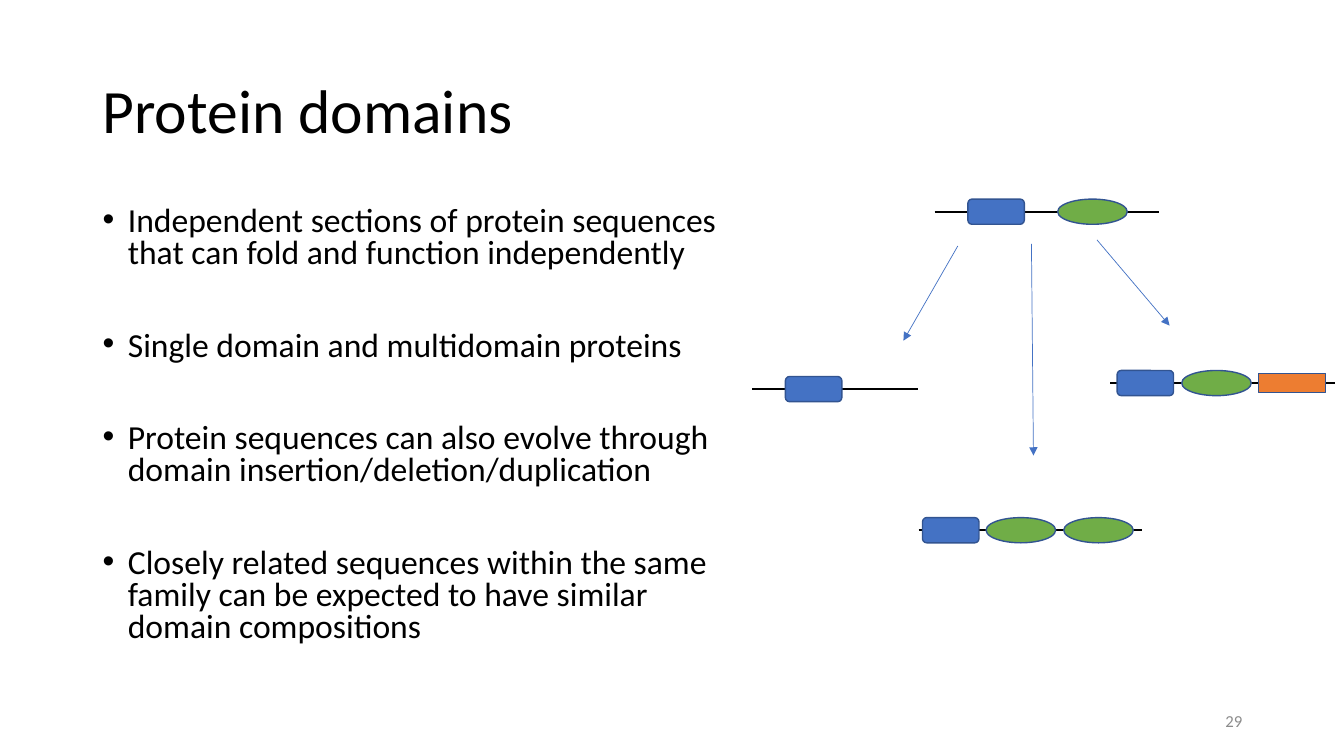
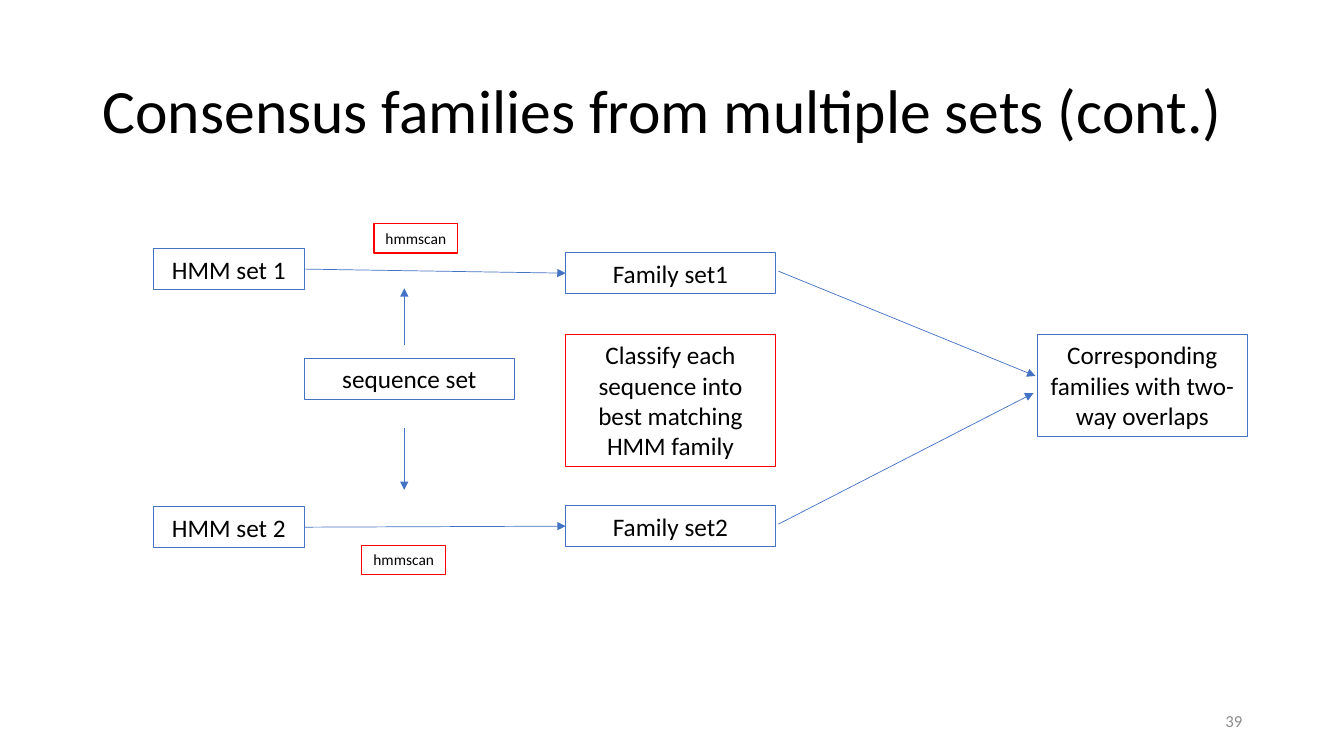
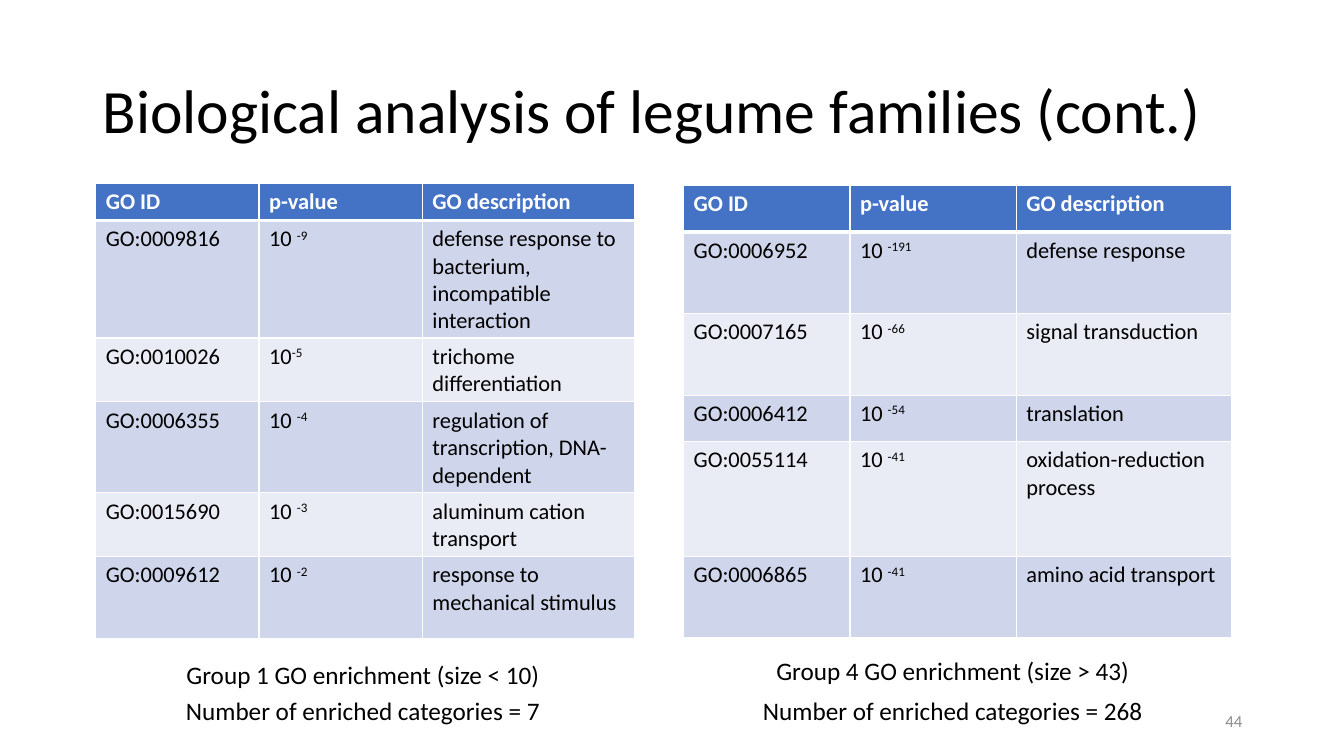
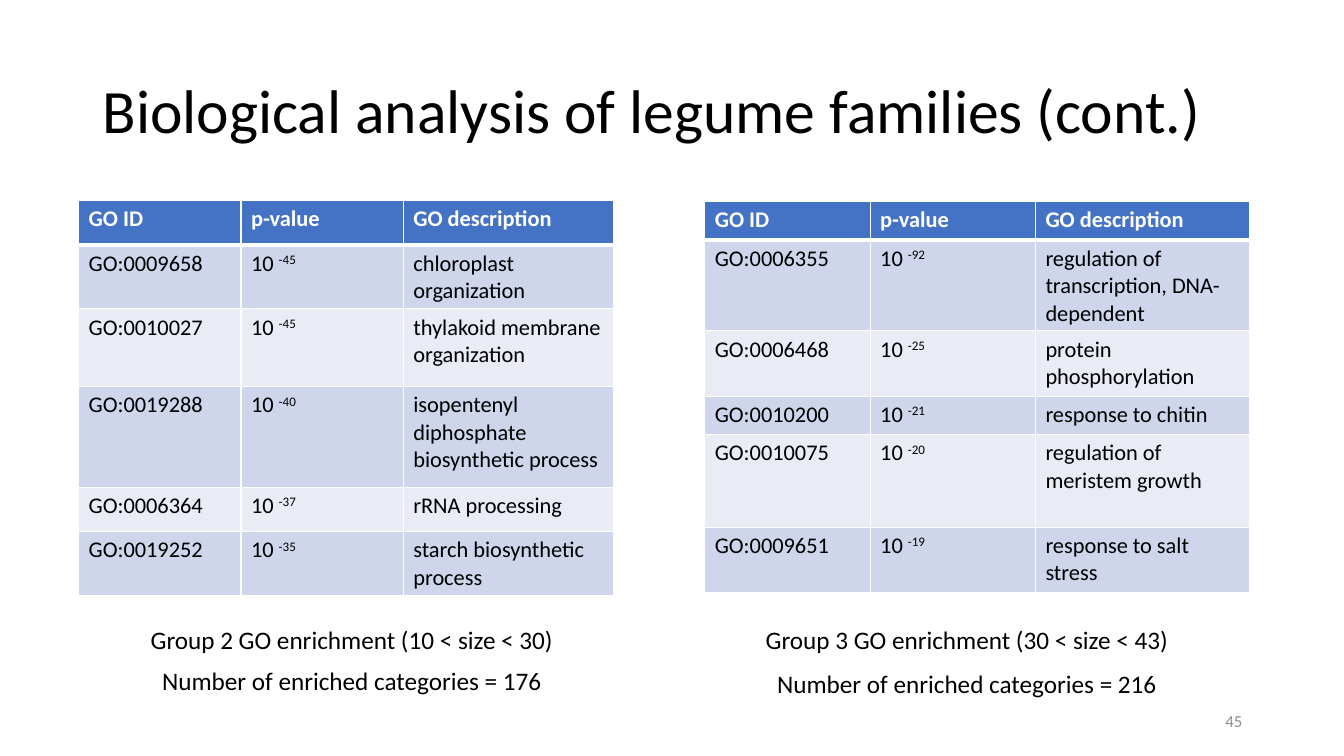
from lxml import etree
from pptx import Presentation
from pptx.dml.color import RGBColor
from pptx.enum.shapes import MSO_CONNECTOR, MSO_SHAPE
from pptx.enum.text import MSO_ANCHOR, PP_ALIGN
from pptx.oxml import parse_xml
from pptx.oxml.ns import nsdecls, qn
from pptx.util import Inches, Pt

# Shared style
FONT = "Calibri"
BLACK, WHITE, GREY = "000000", "FFFFFF", "8C8C8C"
BLUE, GREEN, ORANGE, RED = "4472C4", "70AD47", "ED7D31", "FF0000"
OUTLINE = "325491"
BANDS = ["CFD5EA", "E9EBF5"]
rgb = RGBColor.from_string


def write(shape, text, size, color=BLACK, align=PP_ALIGN.LEFT, anchor=MSO_ANCHOR.TOP):
    frame = shape.text_frame
    frame.word_wrap = True
    frame.vertical_anchor = anchor
    frame.text = text
    for paragraph in frame.paragraphs:
        paragraph.alignment = align
        paragraph.font.name = FONT
        paragraph.font.size = Pt(size)
        paragraph.font.color.rgb = rgb(color)
    return frame


def draw_line(slide, start, end, color=BLUE, width=0.5, arrow=True):
    line = slide.shapes.add_connector(
        MSO_CONNECTOR.STRAIGHT, *[Inches(v) for v in (*start, *end)])
    line.line.color.rgb = rgb(color)
    line.line.width = Pt(width)
    properties = line.line._get_or_add_ln()
    if arrow:
        etree.SubElement(properties, qn("a:tailEnd"), type="triangle")
    properties.addnext(parse_xml(f"<a:effectLst {nsdecls('a')}/>"))
    return line


prs = Presentation()
prs.slide_width, prs.slide_height = Inches(13.33), Inches(7.5)

# Titles and page numbers
slides = []
for title, number in [
    ("Protein domains", 29),
    ("Consensus families from multiple sets (cont.)", 39),
    ("Biological analysis of legume families (cont.)", 44),
    ("Biological analysis of legume families (cont.)", 45),
]:
    slide = prs.slides.add_slide(prs.slide_layouts[6])
    heading = slide.shapes.add_textbox(Inches(0.92), Inches(0.4), Inches(11.5), Inches(1.45))
    write(heading, title, 44, anchor=MSO_ANCHOR.MIDDLE).paragraphs[0].line_spacing = 0.9
    page = slide.shapes.add_textbox(Inches(9.42), Inches(6.95), Inches(3), Inches(0.4))
    write(page, str(number), 12, GREY, PP_ALIGN.RIGHT, MSO_ANCHOR.MIDDLE)
    slides.append(slide)
domains_slide, consensus_slide, *enrichment_slides = slides

# Protein domains: bullets
points = [
    "Independent sections of protein sequences that can fold and function independently",
    "Single domain and multidomain proteins",
    "Protein sequences can also evolve through domain insertion/deletion/duplication",
    "Closely related sequences within the same family can be expected to have similar "
    "domain compositions",
]
body = domains_slide.shapes.add_textbox(Inches(0.92), Inches(2), Inches(6.6), Inches(4.76))
body.text_frame.text = "\n".join(points)
for paragraph in body.text_frame.paragraphs:
    indent = paragraph._p.get_or_add_pPr()
    indent.set("marL", str(Inches(0.25)))
    indent.set("indent", str(-Inches(0.25)))
    etree.SubElement(indent, qn("a:buFont"), typeface="Arial")
    etree.SubElement(indent, qn("a:buChar"), char="•")
    paragraph.line_spacing = 0.8
    paragraph.font.name = FONT
    paragraph.font.size = Pt(24)
    paragraph.font.color.rgb = rgb(BLACK)
for paragraph in body.text_frame.paragraphs[1:]:
    paragraph.space_before = Pt(43)
body.text_frame.word_wrap = True

# Protein domains: proteins as a backbone with domains centred on it
domain_kinds = {
    "blue": (MSO_SHAPE.ROUNDED_RECTANGLE, 0.56, 0.25, BLUE),
    "green": (MSO_SHAPE.OVAL, 0.69, 0.25, GREEN),
    "orange": (MSO_SHAPE.RECTANGLE, 0.67, 0.19, ORANGE),
}
for start, end, y, domains in [
    (9.27, 11.5, 2.1, [("blue", 9.6), ("green", 10.49)]),
    (11.01, 13.24, 3.8, [("blue", 11.08), ("green", 11.72), ("orange", 12.48)]),
    (9.11, 11.33, 5.26, [("blue", 9.15), ("green", 9.78), ("green", 10.55)]),
    (7.46, 9.1, 3.86, [("blue", 7.79)]),
]:
    draw_line(domains_slide, (start, y), (end, y), BLACK, 1.5, arrow=False)
    for kind, left in domains:
        preset, width, height, color = domain_kinds[kind]
        domain = domains_slide.shapes.add_shape(
            preset, Inches(left), Inches(y - height / 2), Inches(width), Inches(height))
        domain.shadow.inherit = False
        domain.fill.solid()
        domain.fill.fore_color.rgb = rgb(color)
        domain.line.color.rgb = rgb(OUTLINE)
        domain.line.width = Pt(1)
for start, end in [
    ((9.5, 2.44), (8.96, 3.38)),
    ((10.23, 2.42), (10.25, 4.52)),
    ((10.88, 2.38), (11.6, 3.23)),
]:
    draw_line(domains_slide, start, end)

# Consensus families: boxes
steps = []
for text, left, top, width, height, color, size in [
    ("HMM set 1", 1.52, 2.47, 1.5, 0.4, BLUE, 18),
    ("Family set1", 5.61, 2.51, 2.08, 0.4, BLUE, 18),
    ("HMM set 2", 1.52, 5.03, 1.5, 0.4, BLUE, 18),
    ("Family set2", 5.61, 5.02, 2.08, 0.4, BLUE, 18),
    ("sequence set", 3.02, 3.56, 2.08, 0.4, BLUE, 18),
    ("hmmscan", 3.71, 2.22, 0.83, 0.29, RED, 11),
    ("hmmscan", 3.59, 5.41, 0.83, 0.29, RED, 11),
    ("Classify each sequence into best matching HMM family", 5.61, 3.32, 2.08, 1.31, RED, 18),
    ("Corresponding families with two-way overlaps", 10.29, 3.32, 2.08, 1.01, BLUE, 18),
]:
    step = consensus_slide.shapes.add_shape(
        MSO_SHAPE.RECTANGLE, Inches(left), Inches(top), Inches(width), Inches(height))
    step.shadow.inherit = False
    step.fill.background()
    step.line.color.rgb = rgb(color)
    step.line.width = Pt(0.75)
    write(step, text, size, align=PP_ALIGN.CENTER)
    steps.append(step)

# Consensus families: arrows
for hmm_set, family_set, y in [(steps[0], steps[1], 2.69), (steps[2], steps[3], 5.22)]:
    scan = draw_line(consensus_slide, (3.02, y), (5.61, y))
    scan.begin_connect(hmm_set, 3)
    scan.end_connect(family_set, 1)
for start, end in [
    ((4.01, 3.42), (4.01, 2.86)),
    ((4.01, 4.25), (4.01, 4.86)),
    ((7.72, 2.69), (10.27, 3.73)),
    ((7.72, 5.2), (10.25, 3.9)),
]:
    draw_line(consensus_slide, start, end)

# Enrichment tables: slide, place, column widths, row heights, captions, rows
header = ("GO ID", "p-value", "GO description")
enrichments = [
    (0, 0.95, 1.82, [1.62, 1.62, 2.1], [0.34, 1.06, 0.58, 0.82, 0.58, 0.82],
     0.96, [(6.49, "Group 1 GO enrichment (size < 10)"),
            (6.85, "Number of enriched categories = 7")],
     [("GO:0009816", "10 ^-9", "defense response to bacterium, incompatible interaction"),
      ("GO:0010026", "10^-5", "trichome differentiation"),
      ("GO:0006355", "10 ^-4", "regulation of transcription, DNA-dependent"),
      ("GO:0015690", "10 ^-3", "aluminum cation transport"),
      ("GO:0009612", "10 ^-2", "response to mechanical stimulus")]),
    (0, 6.78, 1.84, [1.65, 1.65, 2.14], [0.46, 0.81, 0.81, 0.46, 1.14, 0.81],
     6.81, [(6.45, "Group 4 GO enrichment (size > 43)"),
            (6.85, "Number of enriched categories = 268")],
     [("GO:0006952", "10 ^-191", "defense response"),
      ("GO:0007165", "10 ^-66", "signal transduction"),
      ("GO:0006412", "10 ^-54", "translation"),
      ("GO:0055114", "10 ^-41", "oxidation-reduction process"),
      ("GO:0006865", "10 ^-41", "amino acid transport")]),
    (1, 0.78, 1.99, [1.61, 1.61, 2.09], [0.44, 0.55, 0.77, 1, 0.44, 0.55],
     0.85, [(6.14, "Group 2 GO enrichment (10 < size < 30)"),
            (6.55, "Number of enriched categories = 176")],
     [("GO:0009658", "10 ^-45", "chloroplast organization"),
      ("GO:0010027", "10 ^-45", "thylakoid membrane organization"),
      ("GO:0019288", "10 ^-40", "isopentenyl diphosphate biosynthetic process"),
      ("GO:0006364", "10 ^-37", "rRNA processing"),
      ("GO:0019252", "10 ^-35", "starch biosynthetic process")]),
    (1, 6.99, 2, [1.64, 1.64, 2.12], [0.38, 0.9, 0.65, 0.38, 0.92, 0.65],
     6.95, [(6.14, "Group 3 GO enrichment (30 < size < 43)"),
            (6.58, "Number of enriched categories = 216")],
     [("GO:0006355", "10 ^-92", "regulation of transcription, DNA-dependent"),
      ("GO:0006468", "10 ^-25", "protein phosphorylation"),
      ("GO:0010200", "10 ^-21", "response to chitin"),
      ("GO:0010075", "10 ^-20", "regulation of meristem growth"),
      ("GO:0009651", "10 ^-19", "response to salt stress")]),
]
for index, left, top, widths, heights, caption_left, captions, terms in enrichments:
    slide = enrichment_slides[index]
    table = slide.shapes.add_table(
        len(heights), len(widths), Inches(left), Inches(top),
        Inches(sum(widths)), Inches(sum(heights))).table
    for column, width in zip(table.columns, widths):
        column.width = Inches(width)
    for r, (height, values) in enumerate(zip(heights, [header, *terms])):
        table.rows[r].height = Inches(height)
        for c, value in enumerate(values):
            cell = table.cell(r, c)
            # White borders, thicker under the header
            for side in "LRTB":
                thick = (r, side) in [(0, "B"), (1, "T")]
                cell._tc.get_or_add_tcPr().append(parse_xml(
                    f'<a:ln{side} {nsdecls("a")} w="{Pt(3 if thick else 1)}"><a:solidFill>'
                    f'<a:srgbClr val="{WHITE}"/></a:solidFill></a:ln{side}>'))
            cell.fill.solid()
            cell.fill.fore_color.rgb = rgb(BANDS[(r - 1) % 2] if r else BLUE)
            base, _, exponent = value.partition("^")
            paragraph = write(cell, base, 16, BLACK if r else WHITE).paragraphs[0]
            paragraph.font.bold = r == 0
            if exponent:
                power = paragraph.add_run()
                power.text = exponent
                power._r.get_or_add_rPr().set("baseline", "30000")
    for caption_top, text in captions:
        caption = slide.shapes.add_textbox(
            Inches(caption_left), Inches(caption_top), Inches(5.28), Inches(0.4))
        write(caption, text, 18, align=PP_ALIGN.CENTER)

prs.save("out.pptx")
